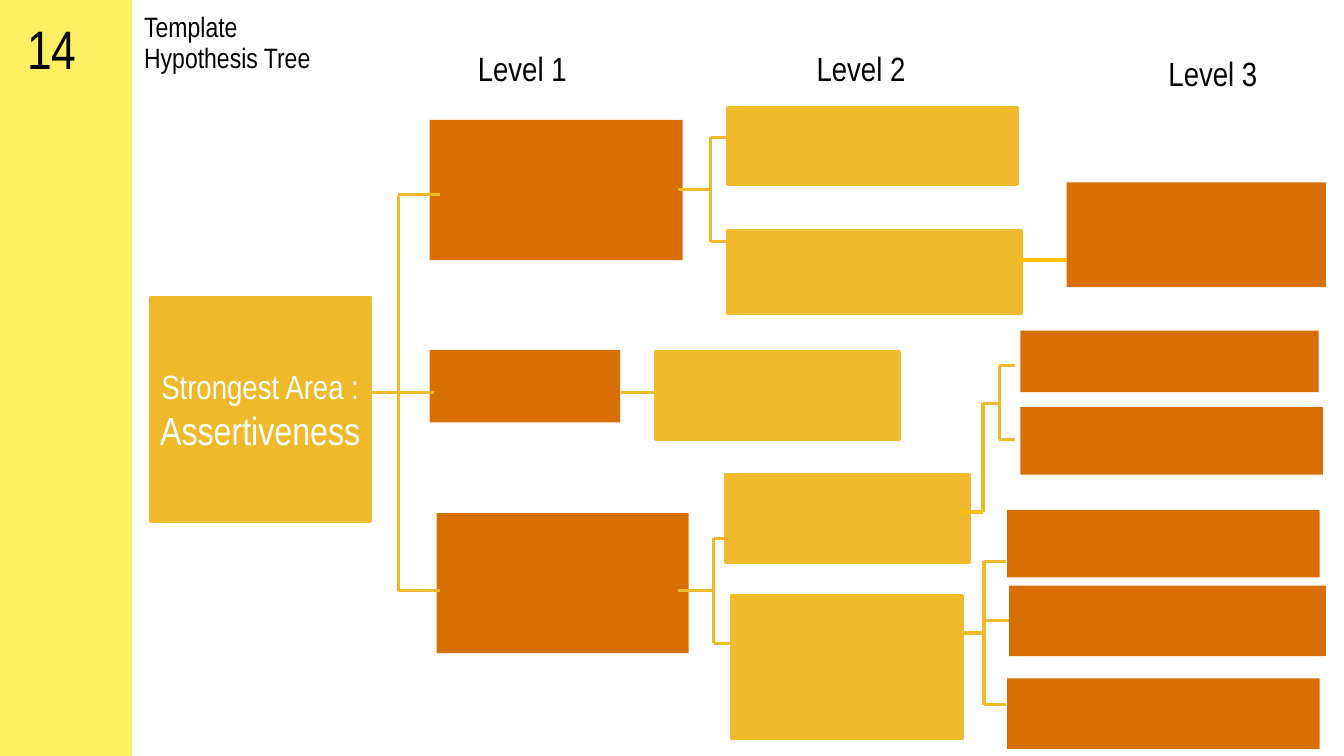
from lxml.etree import SubElement
from pptx import Presentation
from pptx.dml.color import RGBColor
from pptx.enum.shapes import MSO_CONNECTOR as Connector, MSO_SHAPE as Shape
from pptx.enum.text import MSO_ANCHOR as Anchor, MSO_AUTO_SIZE as AutoSize, PP_ALIGN as Align
from pptx.oxml.ns import qn
from pptx.util import Inches, Pt

LEMON = RGBColor(0xFF, 0xEF, 0x62)
GOLD = RGBColor(0xEE, 0xBA, 0x2B)
AMBER = RGBColor(0xFF, 0xC0, 0x00)
ORANGE = RGBColor(0xD8, 0x6F, 0x05)
BLACK = RGBColor(0, 0, 0)
WHITE = RGBColor(0xFF, 0xFF, 0xFF)

LEVEL_1 = [(4.26, 1.19, 2.51, 1.39), (4.26, 3.47, 1.89, 0.72), (4.33, 5.09, 2.5, 1.39)]
LEVEL_2 = [(7.22, 1.07, 2.87, 0.76), (7.22, 2.29, 2.91, 0.82), (6.5, 3.49, 2.42, 0.87),
           (7.2, 4.71, 2.42, 0.87), (7.26, 5.91, 2.29, 1.42)]
LEVEL_3 = [(10.58, 1.81, 2.57, 1.04), (10.12, 3.28, 2.96, 0.61), (10.12, 4.04, 3, 0.67),
           (9.99, 5.06, 3.1, 0.67), (10.01, 5.81, 3.14, 0.7), (9.99, 6.73, 3.1, 0.7)]
HEADINGS = [("Level 1", 4.64, 0.43), ("Level 2", 8, 0.43), ("Level 3", 11.49, 0.48)]
BRACKETS = [
    (3.54, 3.95, 4.36, 3.89, (1.93, 5.86)),
    (6.72, 7.05, 7.39, 1.88, (1.36, 2.4)),
    (6.72, 7.08, 7.41, 5.86, (5.34, 6.38)),
    (9.75, 9.91, 10.07, 4, (3.63, 4.36)),
    (9.54, 9.76, 9.98, 6.28, (5.57, 6.99)),
]
LINKS = [
    (3.78, 3.89, 4.3, 3.89, GOLD),
    (6.16, 3.89, 6.49, 3.89, GOLD),
    (10.11, 2.58, 10.58, 2.58, AMBER),
    (9.75, 4, 9.75, 5.08, GOLD),
    (9.54, 5.08, 9.75, 5.08, AMBER),
    (9.74, 6.16, 10.01, 6.16, GOLD),
]


class TreeSlide:
    font = "Arial Narrow"
    line_width = Pt(2.25)

    def __init__(self, deck):
        self.slide = deck.slides.add_slide(deck.slide_layouts[5])
        self.shapes = self.slide.shapes

    def style(self, paragraph, size, color, align=Align.LEFT):
        paragraph.alignment = align
        paragraph.font.name = self.font
        paragraph.font.size = Pt(size)
        paragraph.font.color.rgb = color

    def title(self, text, left, top, width, height):
        title = self.shapes.title
        title.left, title.top = Inches(left), Inches(top)
        title.width, title.height = Inches(width), Inches(height)
        frame = title.text_frame
        frame.text = text
        frame.auto_size = AutoSize.NONE
        frame.vertical_anchor = Anchor.MIDDLE
        frame.paragraphs[0].line_spacing = 0.9
        self.style(frame.paragraphs[0], 20, BLACK)

    def label(self, text, left, top, width, height, size, inset=None):
        box = self.shapes.add_textbox(*map(Inches, (left, top, width, height)))
        frame = box.text_frame
        frame.word_wrap = True
        if inset:
            frame.margin_left = frame.margin_right = Inches(inset)
            frame.margin_top = frame.margin_bottom = Inches(inset)
        frame.text = text
        self.style(frame.paragraphs[0], size, BLACK)

    def box(self, bounds, fill, outlined=False):
        box = self.shapes.add_shape(Shape.RECTANGLE, *map(Inches, bounds))
        box.shadow.inherit = False
        box.fill.solid()
        box.fill.fore_color.rgb = fill
        if outlined:
            box.line.color.rgb = fill
            box.line.width = self.line_width
        else:
            box.line.fill.background()
        return box

    def root(self, bounds, lines):
        frame = self.box(bounds, GOLD, outlined=True).text_frame
        frame.word_wrap = True
        frame.vertical_anchor = Anchor.MIDDLE
        frame.text = "\n".join(text for text, size in lines)
        for paragraph, (text, size) in zip(frame.paragraphs, lines):
            self.style(paragraph, size, WHITE, Align.CENTER)

    def link(self, x1, y1, x2, y2, color=GOLD):
        link = self.shapes.add_connector(Connector.STRAIGHT, *map(Inches, (x1, y1, x2, y2)))
        link.line.color.rgb = color
        link.line.width = self.line_width
        SubElement(link._element.spPr, qn("a:effectLst"))

    def bracket(self, stem_x, spine_x, tip_x, stem_y, tips):
        self.link(spine_x, min(tips), spine_x, max(tips))
        self.link(spine_x, stem_y, stem_x, stem_y)
        for tip_y in tips:
            self.link(tip_x, tip_y, spine_x, tip_y)


def main():
    deck = Presentation()
    deck.slide_width, deck.slide_height = Inches(13.33), Inches(7.5)
    tree = TreeSlide(deck)

    tree.title("Template\vHypothesis Tree", 1.33, 0.16, 9.65, 0.55)
    tree.box((0, 0, 1.31, 7.5), LEMON)
    tree.label("14", 0.14, 0.02, 0.93, 0.73, 38.7, inset=0.13)

    tree.root((1.49, 2.95, 2.18, 2.22), [("Strongest Area : ", 24), ("Assertiveness", 28)])
    for bounds in LEVEL_1 + LEVEL_3:
        tree.box(bounds, ORANGE)
    for bounds in LEVEL_2:
        tree.box(bounds, GOLD, outlined=True)
    for bracket in BRACKETS:
        tree.bracket(*bracket)
    for link in LINKS:
        tree.link(*link)
    for heading, left, top in HEADINGS:
        tree.label(heading, left, top, 1.31, 0.5, 24)

    deck.save("out.pptx")


if __name__ == "__main__":
    main()
